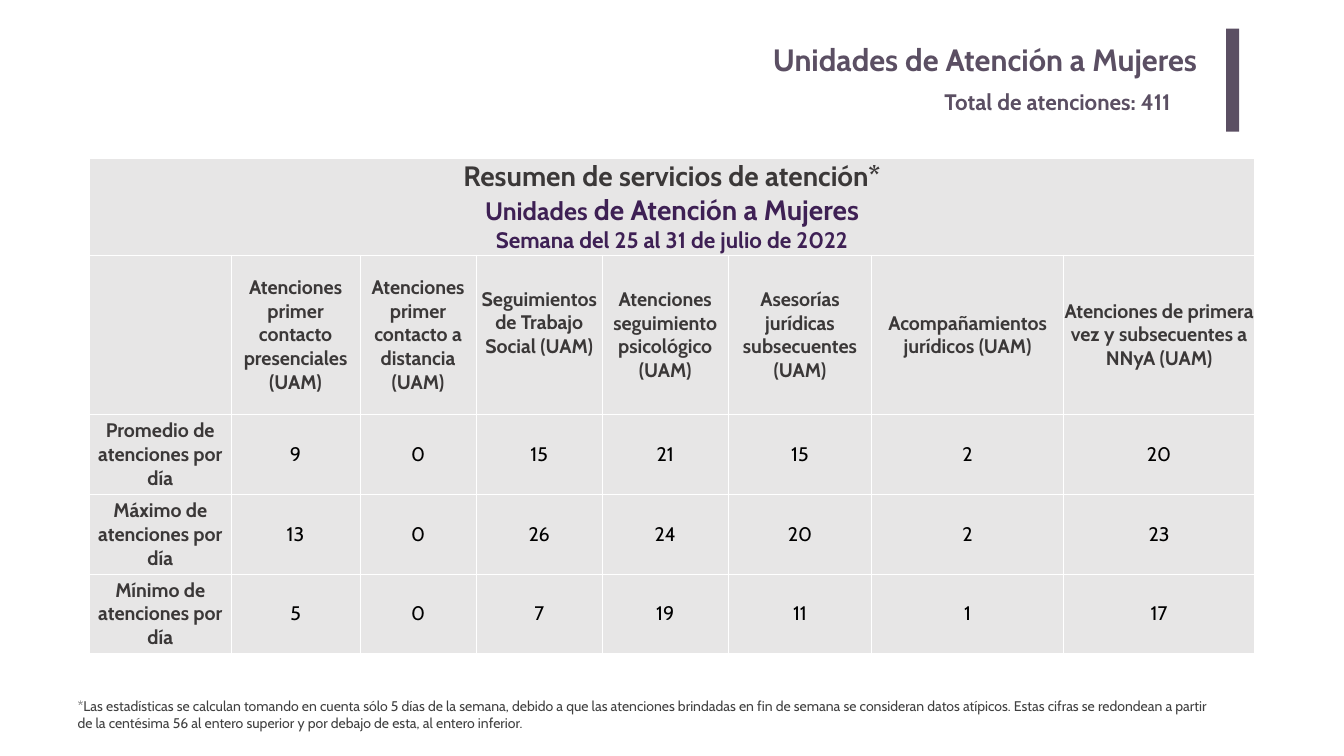
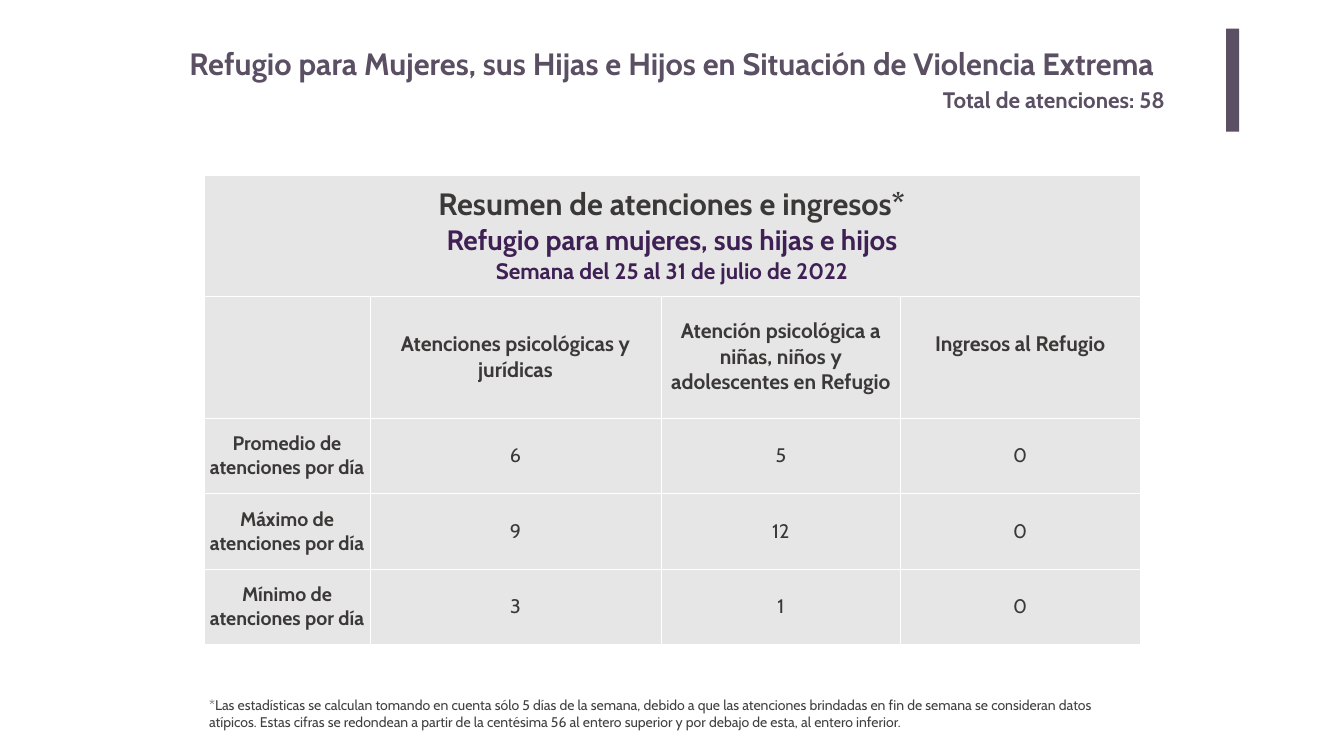
from lxml import etree
from pptx import Presentation
from pptx.dml.color import RGBColor
from pptx.enum.shapes import MSO_SHAPE
from pptx.enum.text import MSO_ANCHOR, MSO_AUTO_SIZE, PP_ALIGN
from pptx.oxml.ns import qn
from pptx.util import Inches, Pt

FONT = "Cabin"
PLUM = RGBColor(0x5B, 0x4F, 0x63)
PURPLE = RGBColor(0x3E, 0x20, 0x54)
CHARCOAL = RGBColor(0x3B, 0x38, 0x38)
NOTE_GRAY = RGBColor(0x40, 0x40, 0x40)
CELL_GRAY = RGBColor(0xE7, 0xE6, 0xE6)
BLACK = RGBColor(0, 0, 0)
WHITE = RGBColor(0xFF, 0xFF, 0xFF)

WEEK = "Semana del 25 al 31 de julio de 2022"
MEASURES = [f"{name} de atenciones por día" for name in ("Promedio", "Máximo", "Mínimo")]
FOOTNOTE = (
    "*Las estadísticas se calculan tomando en cuenta sólo 5 días de la semana, "
    "debido a que las atenciones brindadas en fin de semana se consideran datos "
    "atípicos. Estas cifras se redondean a partir de la centésima 56 al entero "
    "superior y por debajo de esta, al entero inferior."
)


class Report:
    """Holds the shared style and the slide being built."""

    def __init__(self):
        self.deck = Presentation()
        self.deck.slide_width = Inches(26.67)
        self.deck.slide_height = Inches(15)
        self.slide = None

    def new_slide(self):
        self.slide = self.deck.slides.add_slide(self.deck.slide_layouts[5])
        self.slide.background.fill.solid()
        self.slide.background.fill.fore_color.rgb = WHITE
        band = self.slide.shapes.add_shape(
            MSO_SHAPE.RECTANGLE, Inches(24.33), Inches(0.57), Inches(0.26), Inches(2.04))
        band.shadow.inherit = False
        band.fill.solid()
        band.fill.fore_color.rgb = PLUM
        band.line.fill.background()

    def add_run(self, paragraph, text, size, color, bold=True):
        run = paragraph.add_run()
        run.text = text
        run.font.name = FONT
        run.font.size = Pt(size)
        run.font.bold = bold
        run.font.color.rgb = color

    def title(self, text, left, top, width, height, align):
        heading = self.slide.shapes.title
        heading.left, heading.top = Inches(left), Inches(top)
        heading.width, heading.height = Inches(width), Inches(height)
        frame = heading.text_frame
        frame.auto_size = MSO_AUTO_SIZE.NONE
        frame.word_wrap = True
        frame.vertical_anchor = MSO_ANCHOR.MIDDLE
        if align == PP_ALIGN.RIGHT:
            frame.margin_left = frame.margin_right = Inches(0.2)
        frame.paragraphs[0].alignment = align
        self.add_run(frame.paragraphs[0], text, 44, PLUM)

    def text(self, text, left, top, width, height, size, color, bold):
        box = self.slide.shapes.add_textbox(
            Inches(left), Inches(top), Inches(width), Inches(height))
        box.text_frame.word_wrap = True
        self.add_run(box.text_frame.paragraphs[0], text, size, color, bold)

    def total(self, count, left, top):
        self.text(f"Total de atenciones: {count}", left, top, 5.38, 0.64, 32, PLUM, True)

    def footnote(self, left, top, width):
        self.text(FOOTNOTE, left, top, width, 0.77, 20, NOTE_GRAY, False)

    def style_cell(self, cell):
        properties = cell._tc.get_or_add_tcPr()
        for side in ("a:lnL", "a:lnR", "a:lnT", "a:lnB"):
            border = etree.SubElement(properties, qn(side), w=str(Pt(1)))
            fill = etree.SubElement(border, qn("a:solidFill"))
            etree.SubElement(fill, qn("a:srgbClr"), val=str(WHITE))
        cell.fill.solid()
        cell.fill.fore_color.rgb = CELL_GRAY
        cell.vertical_anchor = MSO_ANCHOR.MIDDLE
        cell.margin_left = cell.margin_right = cell.margin_top = cell.margin_bottom = 0

    def fill_cell(self, cell, lines):
        """Writes lines, each a list of (text, size, color, bold) runs."""
        for index, runs in enumerate(lines):
            frame = cell.text_frame
            paragraph = frame.paragraphs[0] if index == 0 else frame.add_paragraph()
            paragraph.alignment = PP_ALIGN.CENTER
            for run in runs:
                self.add_run(paragraph, *run)

    def summary(self, left, top, widths, heights, caption, services, values,
                service_size, value_color, raised):
        """Table with a caption row; the raised service column sits half a line higher."""
        table = self.slide.shapes.add_table(
            len(heights), len(widths), Inches(left), Inches(top),
            Inches(sum(widths)), Inches(sum(heights))).table
        table.first_row = table.horz_banding = False
        for column, width in zip(table.columns, widths):
            column.width = Inches(width)
        for row, height in zip(table.rows, heights):
            row.height = Inches(height)
        for cell in table.iter_cells():
            self.style_cell(cell)

        # Caption
        table.cell(0, 0).merge(table.cell(0, len(widths) - 1))
        self.fill_cell(table.cell(0, 0), caption)

        # Service headings
        for column, service in enumerate(services, 1):
            self.fill_cell(table.cell(1, column), [[(service, service_size, CHARCOAL, True)]])
        table.cell(1, raised).margin_bottom = Pt(service_size * 1.22)

        # Measures
        for row, (measure, counts) in enumerate(zip(MEASURES, values), 2):
            self.fill_cell(table.cell(row, 0), [[(measure, 28, CHARCOAL, True)]])
            for column, count in enumerate(counts, 1):
                self.fill_cell(table.cell(row, column), [[(str(count), 28, value_color, False)]])


def build_units(report):
    report.new_slide()
    report.title("Unidades de Atención a Mujeres", 3.66, 0.67, 20.3, 1.02, PP_ALIGN.RIGHT)
    report.total(411, 18.64, 1.69)
    report.summary(
        1.77, 3.15,
        widths=[2.82, 2.55, 2.31, 2.5, 2.5, 2.85, 3.8, 3.8],
        heights=[1.91, 3.17] + [1.58] * 3,
        caption=[
            [("Resumen de servicios de atención*", 40, CHARCOAL, True)],
            [("Unidades", 36, PURPLE, True), (" de Atención a Mujeres", 40, PURPLE, True)],
            [(WEEK, 32, PURPLE, True)],
        ],
        services=[
            "Atenciones primer contacto presenciales (UAM)",
            "Atenciones primer contacto a distancia (UAM)",
            "Seguimientos de Trabajo Social (UAM)",
            "Atenciones seguimiento psicológico (UAM)",
            "Asesorías jurídicas subsecuentes (UAM)",
            "Acompañamientos jurídicos (UAM)",
            "Atenciones de primera vez y subsecuentes a NNyA (UAM)",
        ],
        values=[
            [9, 0, 15, 21, 15, 2, 20],
            [13, 0, 26, 24, 20, 2, 23],
            [5, 0, 7, 19, 11, 1, 17],
        ],
        service_size=28, value_color=BLACK, raised=3)
    report.footnote(1.44, 13.79, 22.77)


def build_shelter(report):
    report.new_slide()
    report.title("Refugio para Mujeres, sus Hijas e Hijos en Situación de Violencia Extrema",
                 3.66, 0.84, 20.73, 0.84, PP_ALIGN.LEFT)
    report.total(58, 18.61, 1.65)
    report.summary(
        4.05, 3.47,
        widths=[3.29, 5.78, 4.75, 4.75],
        heights=[2.4, 2.42] + [1.5] * 3,
        caption=[
            [("Resumen de atenciones e ingresos*", 44, CHARCOAL, True)],
            [("Refugio para mujeres, sus hijas e hijos", 40, PURPLE, True)],
            [(WEEK, 32, PURPLE, True)],
        ],
        services=[
            "Atenciones psicológicas y jurídicas",
            "Atención psicológica a niñas, niños y adolescentes en Refugio",
            "Ingresos al Refugio",
        ],
        values=[[6, 5, 0], [9, 12, 0], [3, 1, 0]],
        service_size=30, value_color=CHARCOAL, raised=3)
    report.footnote(4.05, 13.77, 18.56)


def main():
    report = Report()
    build_units(report)
    build_shelter(report)
    report.deck.save("out.pptx")


if __name__ == "__main__":
    main()
